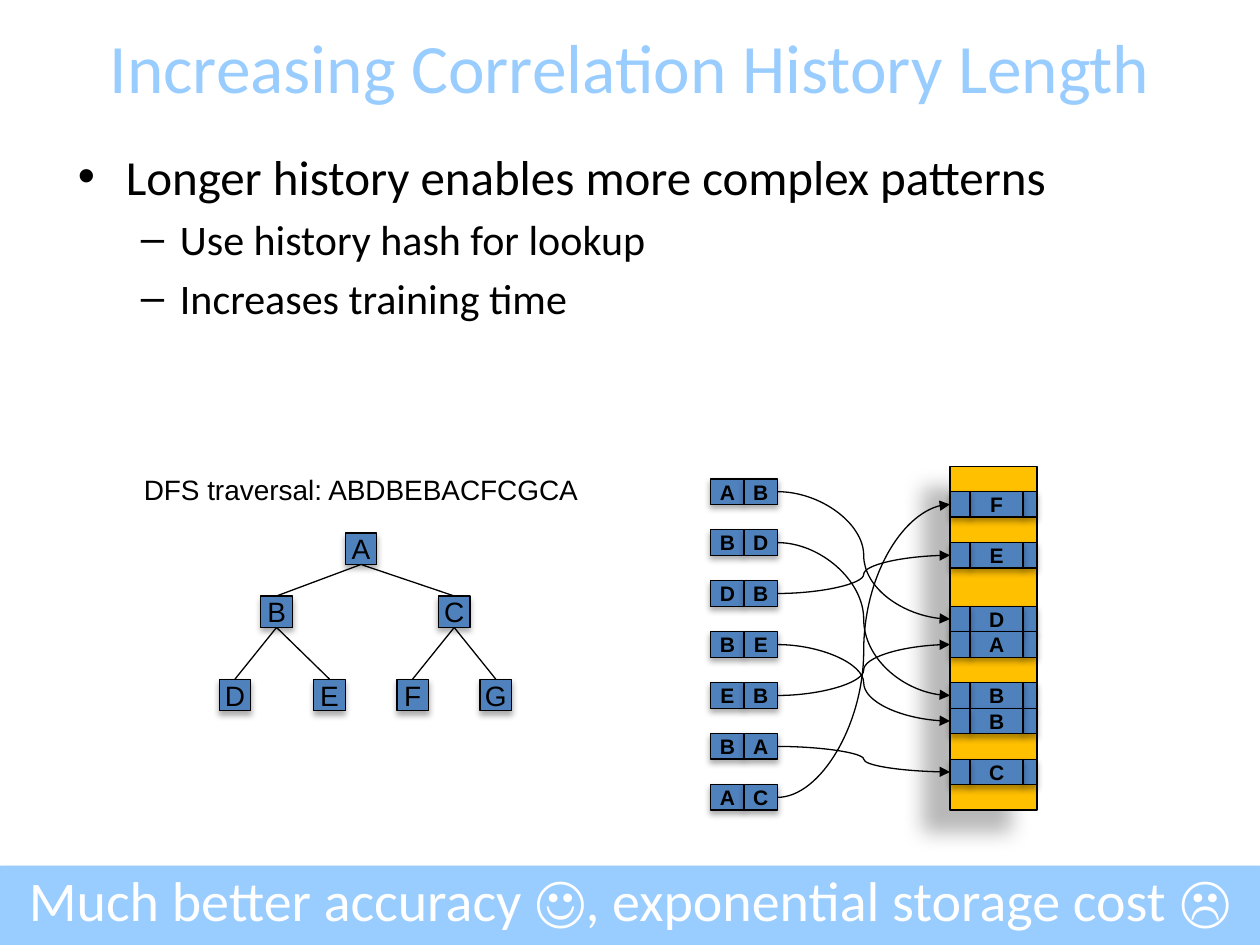
from lxml.etree import SubElement
from pptx import Presentation
from pptx.dml.color import RGBColor
from pptx.enum.shapes import MSO_CONNECTOR, MSO_SHAPE
from pptx.enum.text import MSO_ANCHOR, PP_ALIGN
from pptx.oxml.ns import qn
from pptx.util import Inches, Pt

COLORS = {
    "sky": "99CCFF",
    "amber": "FFC000",
    "blue": "4F81BD",
    "black": "000000",
    "white": "FFFFFF",
}
SOFT_SHADOW = (32, 3.5, 2.2, 90)
BAR_SHADOW = (35, 3.1, 1.8, 90)
TABLE_SHADOW = (28, 11.8, 19.7, 141)
TOP, LEFT, BOTTOM, RIGHT = range(4)


class Board:
    heading_font = "Calibri"
    label_font = "Arial"
    line_width = Pt(0.75)

    def __init__(self, deck):
        self.slide = deck.slides.add_slide(deck.slide_layouts[6])
        self.column = deck.slide_width / 100
        self.row = deck.slide_height / 75

    def area(self, left, top, width, height):
        return (round(left * self.column), round(top * self.row),
                round(width * self.column), round(height * self.row))

    def color(self, name):
        return RGBColor.from_string(COLORS[name])

    def style(self, para, size, color, font, bold=False):
        for span in para.runs:
            span.font.size = Pt(size)
            span.font.name = font
            span.font.bold = bold
            span.font.color.rgb = self.color(color)

    def shadow(self, shape, alpha, blur, distance, angle):
        shape.shadow.inherit = False
        effects = shape._element.spPr.find(qn("a:effectLst"))
        outer = SubElement(effects, qn("a:outerShdw"), blurRad=str(Pt(blur)),
                           dist=str(Pt(distance)), dir=str(angle * 60000),
                           rotWithShape="0")
        tint = SubElement(outer, qn("a:srgbClr"), val=COLORS["black"])
        SubElement(tint, qn("a:alpha"), val=str(alpha * 1000))

    def block(self, area, fill="blue", label="", size=12, bold=True,
              outlined=True, shadow=SOFT_SHADOW):
        box = self.slide.shapes.add_shape(MSO_SHAPE.RECTANGLE, *self.area(*area))
        box.fill.solid()
        box.fill.fore_color.rgb = self.color(fill)
        if outlined:
            box.line.color.rgb = self.color("black")
            box.line.width = self.line_width
        else:
            box.line.fill.background()
        self.shadow(box, *shadow)
        if label:
            frame = box.text_frame
            frame.word_wrap = False
            frame.margin_left = frame.margin_right = 0
            frame.vertical_anchor = MSO_ANCHOR.MIDDLE
            frame.text = label
            para = frame.paragraphs[0]
            para.alignment = PP_ALIGN.CENTER
            self.style(para, size, "black", self.label_font, bold)
        return box

    def text(self, area, words, size, color, font, wrap=True,
             anchor=MSO_ANCHOR.TOP):
        box = self.slide.shapes.add_textbox(*self.area(*area))
        frame = box.text_frame
        frame.word_wrap = wrap
        frame.vertical_anchor = anchor
        frame.text = words
        para = frame.paragraphs[0]
        para.alignment = PP_ALIGN.CENTER
        self.style(para, size, color, font)

    def bullets(self, area, items):
        levels = [("•", 28, 0.38, 0.38), ("–", 24, 0.81, 0.31)]
        frame = self.slide.shapes.add_textbox(*self.area(*area)).text_frame
        frame.word_wrap = True
        frame.text = "\n".join(words for _, words in items)
        for para, (level, _) in zip(frame.paragraphs, items):
            mark, size, margin, hang = levels[level]
            para.level = level
            para.space_before = Pt(size * 0.2)
            props = para._p.get_or_add_pPr()
            props.set("marL", str(Inches(margin)))
            props.set("indent", str(-Inches(hang)))
            SubElement(props, qn("a:buFont"), typeface=self.label_font)
            SubElement(props, qn("a:buChar"), char=mark)
            self.style(para, size, "black", self.heading_font)

    def link(self, start, start_site, end, end_site, curved=False):
        kind = MSO_CONNECTOR.CURVE if curved else MSO_CONNECTOR.STRAIGHT
        line = self.slide.shapes.add_connector(kind, 0, 0, 0, 0)
        line.begin_connect(start, start_site)
        line.end_connect(end, end_site)
        line.line.color.rgb = self.color("black")
        line.line.width = self.line_width
        if curved:
            SubElement(line.line._get_or_add_ln(), qn("a:tailEnd"), type="triangle")
        SubElement(line._element.spPr, qn("a:effectLst"))


def draw_tree(board):
    places = {"A": (27.4, 42.3), "B": (20.7, 47.3), "C": (34.8, 47.3),
              "D": (17.4, 53.9), "E": (24.9, 53.9),
              "F": (31.5, 53.9), "G": (38.1, 53.9)}
    nodes = {name: board.block((*place, 2.5, 2.5), label=name, size=16, bold=False)
             for name, place in places.items()}
    for parent, child in ("AB", "BD", "BE", "AC", "CF", "CG"):
        board.link(nodes[parent], BOTTOM, nodes[child], TOP)


def draw_history_table(board):
    top, height = 37, 27.3
    step = height / 13.5
    key_left, key_width = 56.4, 2.65
    table_left, tag_width, value_width, end_width = 75.4, 1.6, 4.2, 1.1
    entries = [("AB", "D", 5.5), ("BD", "B", 8.5), ("DB", "E", 3),
               ("BE", "B", 9.5), ("EB", "A", 6.5), ("BA", "C", 11.5),
               ("AC", "F", 1)]

    board.block((table_left, top, 6.9, height), "amber", shadow=TABLE_SHADOW)
    value_left = table_left + tag_width
    for _, _, slot in entries:
        board.block((value_left + value_width, top + slot * step, end_width, step))
    for index, (key, value, slot) in enumerate(entries):
        key_top = top + (0.5 + 2 * index) * step
        slot_top = top + slot * step
        for place, letter in enumerate(key):
            last = board.block((key_left + place * key_width, key_top,
                                key_width, step), label=letter)
        board.block((value_left, slot_top, value_width, step), label=value)
        tag = board.block((table_left, slot_top, tag_width, step))
        board.link(last, RIGHT, tag, LEFT, curved=True)


def main():
    deck = Presentation()
    deck.slide_width = Inches(10)
    deck.slide_height = Inches(7.5)
    board = Board(deck)
    heading, label = board.heading_font, board.label_font

    board.block((0, 68.7, 100, 6.3), "sky", outlined=False, shadow=BAR_SHADOW)
    board.text((0, 2.1, 100, 6.3), "Increasing Correlation History Length",
               39.6, "sky", heading, anchor=MSO_ANCHOR.MIDDLE)
    board.bullets((5.2, 11.1, 90, 55.6), [
        (0, "Longer history enables more complex patterns"),
        (1, "Use history hash for lookup"),
        (1, "Increases training time"),
    ])
    draw_tree(board)
    board.text((10.2, 37, 36.9, 3.7), "DFS traversal: ABDBEBACFCGCA",
               16, "black", label, wrap=False)
    draw_history_table(board)
    board.text((0, 68.2, 100, 6.3),
               "Much better accuracy ☺, exponential storage cost ☹",
               32, "white", heading)
    deck.save("out.pptx")


if __name__ == "__main__":
    main()
